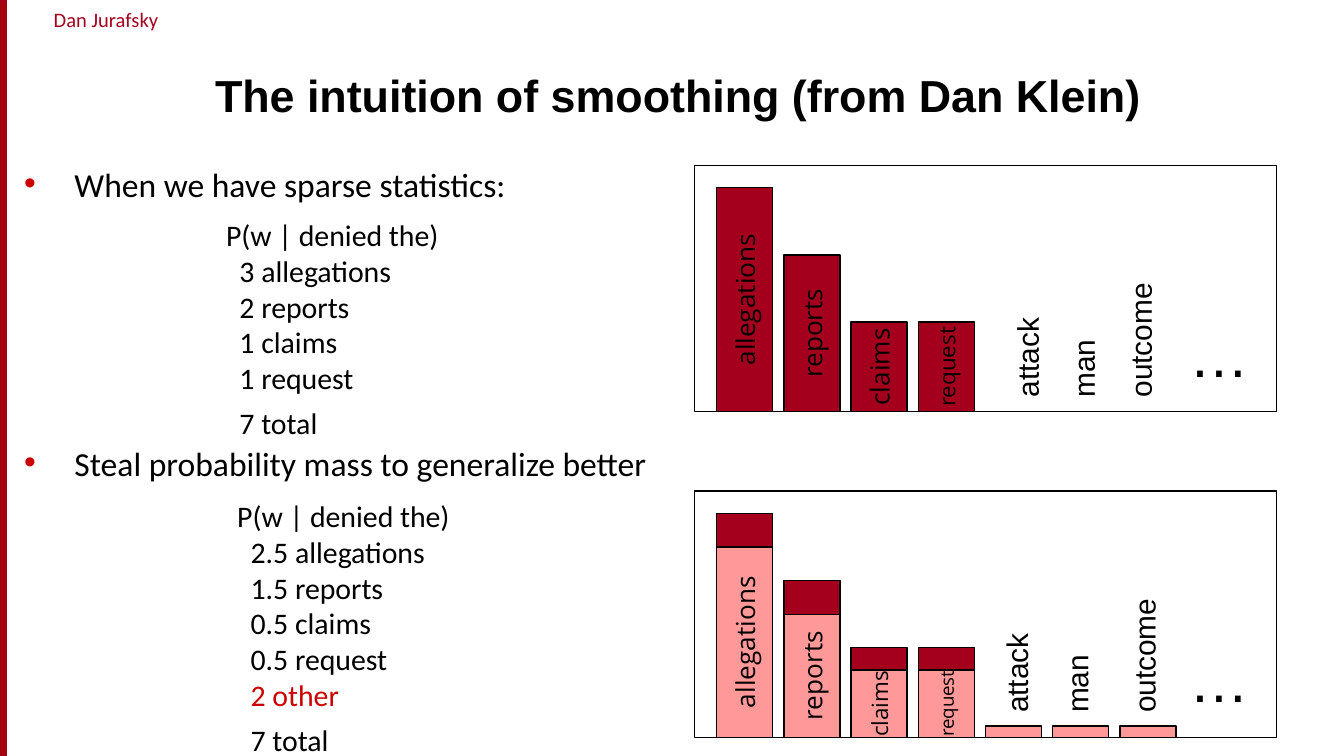
"""Build the slide on the intuition of smoothing, with counts and bar diagrams."""
from lxml import etree
from pptx import Presentation
from pptx.dml.color import RGBColor
from pptx.enum import shapes, text
from pptx.oxml import ns
from pptx.util import Pt

THEME = {
    "dark": "A4001D", "light": "FF9999", "red": "CC0000", "black": "000000",
    "strip": "A40508", "body": "Calibri", "head": "Arial", "bar": "Open Sans",
    "author": 11, "title": 24, "bullet": 18, "count": 16, "word": 16, "dots": 32,
}
AUTHOR = "Dan Jurafsky"
TITLE = "The intuition of smoothing (from Dan Klein)"
BULLETS = [
    ("When we have sparse statistics:", 0),
    ("Steal probability mass to generalize better", 134.6),
]
GIVEN = "P(w | denied the)"
COUNTS = [
    (114, 112.5, 128, ["3 allegations", "2 reports", "1 claims", "1 request", "7 total"]),
    (120, 263, 148, ["2.5 allegations", "1.5 reports", "0.5 claims", "0.5 request",
                     "2 other", "7 total"]),
]
FULL = [("allegations", 120, 14), ("reports", 84, 14), ("claims", 48, 14), ("request", 48, 12)]
CUT = [("allegations", 102, 14), ("reports", 66, 14), ("claims", 36, 12), ("request", 36, 10),
       ("", 6, 0), ("", 6, 0), ("", 6, 0)]
BARE = [("", high, 0) for _, high, _ in FULL]
PANELS = [
    {"top": 88.5, "bars": [("dark", FULL)], "lift": 0.5,
     "words": [("attack", 550.5), ("man", 580.5), ("outcome", 611)]},
    {"top": 263, "bars": [("dark", BARE), ("light", CUT)], "lift": 6,
     "words": [("attack", 544.7), ("man", 577), ("outcome", 613)]},
]
LEFT, WIDE, HIGH = 372, 312, 132
FIRST, PITCH, THICK = 384, 36, 30

deck = Presentation()
deck.slide_width, deck.slide_height = Pt(720), Pt(405)
slide = deck.slides.add_slide(deck.slide_layouts[5])


def color(name):
    return RGBColor.from_string(THEME[name])


def style(par, face, size, tint="black", bold=False):
    for run in par.runs:
        font = run.font
        font.name, font.size, font.bold = THEME[face], Pt(size), bold
        font.color.rgb = color(tint)


def rect(x, y, w, h, fill=None, edge="black"):
    box = slide.shapes.add_shape(shapes.MSO_SHAPE.RECTANGLE, Pt(x), Pt(y), Pt(w), Pt(h))
    box.shadow.inherit = False
    if fill:
        box.fill.solid()
        box.fill.fore_color.rgb = color(fill)
    else:
        box.fill.background()
    box.line.color.rgb = color(edge)
    box.line.width = Pt(0.75)
    return box


def label(x, y, w, h, lines, face, size, tint="black"):
    box = slide.shapes.add_textbox(Pt(x), Pt(y), Pt(w), Pt(h))
    frame = box.text_frame
    frame.word_wrap = True
    frame.text = "\n".join(lines)
    for par in frame.paragraphs:
        style(par, face, size, tint)
    return box


def bullet(par):
    props = par._p.get_or_add_pPr()
    props.set("marL", str(Pt(27)))
    props.set("indent", str(-Pt(27)))
    tint = etree.SubElement(props, ns.qn("a:buClr"))
    etree.SubElement(tint, ns.qn("a:srgbClr"), val=THEME["red"])
    etree.SubElement(props, ns.qn("a:buFont"), typeface="Arial")
    etree.SubElement(props, ns.qn("a:buChar"), char="•")


def bar(x, base, fill, name, high, size):
    mid = x + THICK / 2
    box = rect(mid - high / 2, base - high / 2 - THICK / 2, high, THICK, fill)
    box.rotation = 270
    if name:
        frame = box.text_frame
        frame.word_wrap = False
        frame.vertical_anchor = text.MSO_ANCHOR.MIDDLE
        frame.text = name
        par = frame.paragraphs[0]
        par.alignment = text.PP_ALIGN.CENTER
        style(par, "bar", size)


def panel(top, bars, lift, words):
    base = top + HIGH
    rect(LEFT, top, WIDE, HIGH)
    for fill, group in bars:
        for i, (name, high, size) in enumerate(group):
            bar(FIRST + i * PITCH, base, fill, name, high, size)
    for word, mid in words:
        box = label(mid - 45, base - lift - 58.5, 90, 27, [word], "head", THEME["word"])
        box.rotation = 270
    label(630, top + 78, 42, 45, ["…"], "head", THEME["dots"])


rect(0, 0, 3.6, 405, "strip", "dark")
credit = label(5.8, 0, 102, 21, [AUTHOR], "body", THEME["author"], "dark").text_frame
credit.margin_left = credit.margin_right = 0
credit.paragraphs[0].alignment = text.PP_ALIGN.CENTER

title = slide.shapes.title
title.left, title.top, title.width, title.height = Pt(108), Pt(10.8), Pt(588), Pt(58)
title.text_frame.text = TITLE
title.text_frame.vertical_anchor = text.MSO_ANCHOR.BOTTOM
title.text_frame.paragraphs[0].alignment = text.PP_ALIGN.LEFT
style(title.text_frame.paragraphs[0], "head", THEME["title"], bold=True)

points = label(5.8, 90, 648, 318, [line for line, _ in BULLETS], "body", THEME["bullet"])
for par, (_, gap) in zip(points.text_frame.paragraphs, BULLETS):
    par.line_spacing, par.space_before = 0.7, Pt(gap)
    bullet(par)

for x, y, h, rows in COUNTS:
    pars = label(x, y, 192, h, [GIVEN] + rows, "body", THEME["count"]).text_frame.paragraphs
    for par in pars[1:]:
        par._p.get_or_add_pPr().set("marL", str(Pt(7.2)))
        if par.text.endswith("other"):
            style(par, "body", THEME["count"], "red")
    pars[-1].space_before = Pt(4.9)

for part in PANELS:
    panel(**part)

deck.save("out.pptx")
